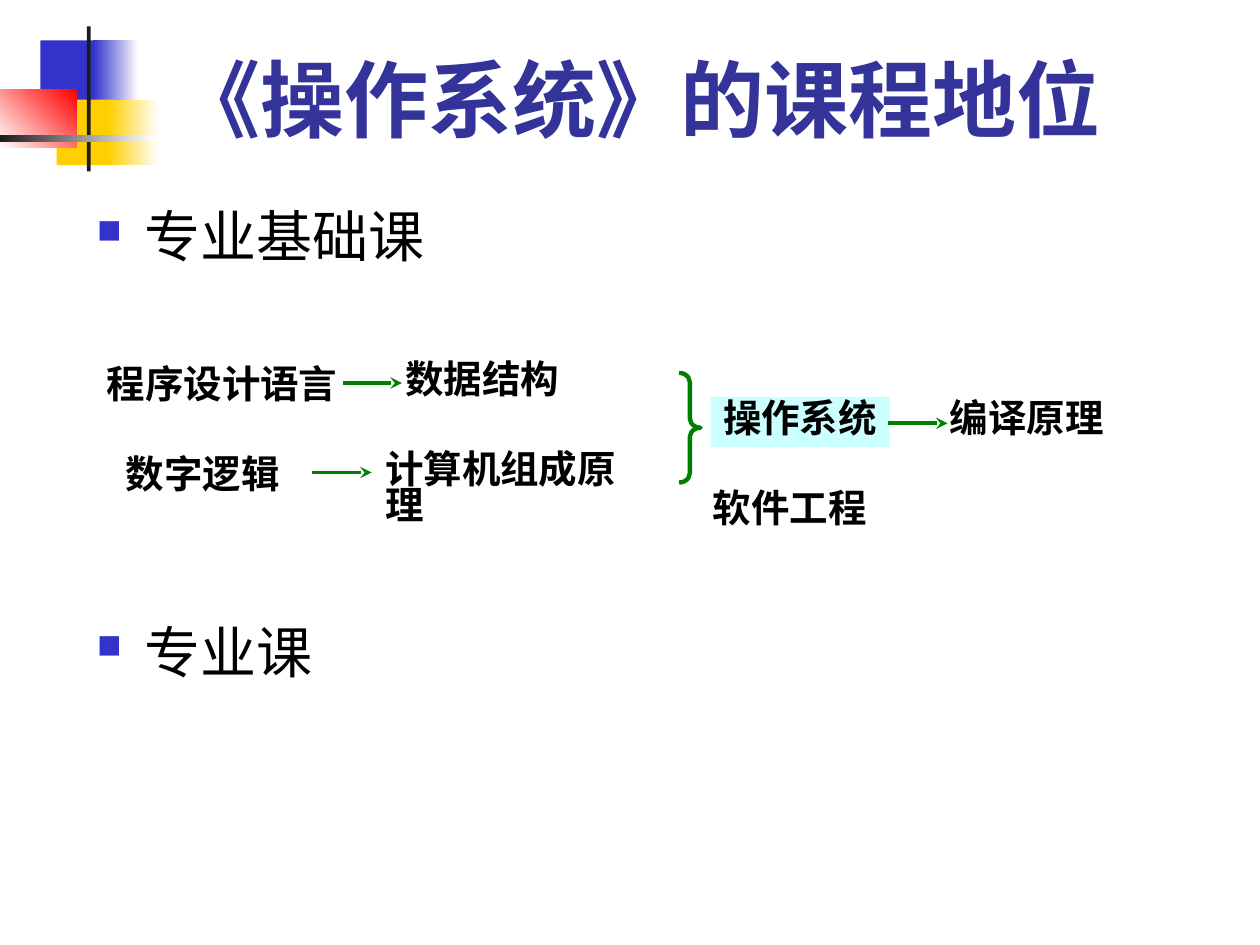
import pptx
import pptx.util
import pptx.dml.color
import pptx.enum.shapes
import pptx.enum.text
import pptx.enum.lang
import lxml.etree
import pptx.oxml.ns

Inches, Pt = pptx.util.Inches, pptx.util.Pt
RGBColor = pptx.dml.color.RGBColor
SHAPE = pptx.enum.shapes.MSO_SHAPE
ANCHOR = pptx.enum.text.MSO_ANCHOR
qn = pptx.oxml.ns.qn

BLUE = RGBColor(0x33, 0x33, 0xCC)
TITLE_BLUE = RGBColor(0x33, 0x33, 0x99)
YELLOW = RGBColor(0xFF, 0xCF, 0x01)
RED = RGBColor(0xFF, 0x00, 0x00)
DARK = RGBColor(0x1C, 0x1C, 0x1C)
WHITE = RGBColor(0xFF, 0xFF, 0xFF)
BLACK = RGBColor(0x00, 0x00, 0x00)
GREEN = RGBColor(0x00, 0x80, 0x00)
CYAN = RGBColor(0xCC, 0xFF, 0xFF)
FONT = "Lato"


def add_text(left, top, width, height, text, size, color, bold):
    """Add a text box holding one run; return the box and its paragraph."""
    box = slide.shapes.add_textbox(Inches(left), Inches(top), Inches(width), Inches(height))
    box.text_frame.word_wrap = True
    para = box.text_frame.paragraphs[0]
    span = para.add_run()
    span.text = text
    span.font.size = Pt(size)
    span.font.bold = bold
    span.font.name = FONT
    span.font.color.rgb = color
    span.font.language_id = pptx.enum.lang.MSO_LANGUAGE_ID.SIMPLIFIED_CHINESE
    east_asian = lxml.etree.SubElement(span.font._element, qn("a:ea"))
    east_asian.set("typeface", FONT)
    return box, para


deck = pptx.Presentation()
deck.slide_width, deck.slide_height = Inches(10), Inches(7.5)
slide = deck.slides.add_slide(deck.slide_layouts[6])

# Corner ornament: left, top, width, height, start colour, end colour, angle
ornament = [
    (0.32, 0.32, 0.48, 0.52, BLUE, None, 0),
    (0.74, 0.32, 0.36, 0.52, BLUE, WHITE, 0),
    (0.45, 0.79, 0.46, 0.52, YELLOW, None, 0),
    (0.86, 0.79, 0.40, 0.52, YELLOW, WHITE, 0),
    (0, 0.71, 0.61, 0.46, WHITE, RED, 45),
    (0.69, 0.21, 0.03, 1.15, DARK, None, 0),
    (0, 1.07, 1.22, 0.06, DARK, WHITE, 0),
]
for left, top, width, height, start, end, angle in ornament:
    block = slide.shapes.add_shape(
        SHAPE.RECTANGLE, Inches(left), Inches(top), Inches(width), Inches(height))
    block.shadow.inherit = False
    block.line.fill.background()
    if end is None:
        block.fill.solid()
        block.fill.fore_color.rgb = start
    else:
        block.fill.gradient()
        block.fill.gradient_angle = angle
        for stop, color in zip(block.fill.gradient_stops, (start, end)):
            stop.color.rgb = color

# Title
title, para = add_text(1.3, 0.21, 8.52, 1.02, "《操作系统》的课程地位", 48, TITLE_BLUE, True)
title.text_frame.vertical_anchor = ANCHOR.BOTTOM

# Bulleted headings
for top, text in [(1.55, "专业基础课"), (4.85, "专业课")]:
    box, para = add_text(0.67, top, 8.9, 0.79, text, 32, BLACK, False)
    para.space_before = Pt(8)
    props = para._p.get_or_add_pPr()
    props.set("marL", str(Inches(0.38)))
    props.set("indent", str(Inches(-0.38)))
    bullet_color = lxml.etree.SubElement(props, qn("a:buClr"))
    lxml.etree.SubElement(bullet_color, qn("a:srgbClr")).set("val", str(BLUE))
    lxml.etree.SubElement(props, qn("a:buSzPct")).set("val", "60000")
    lxml.etree.SubElement(props, qn("a:buChar")).set("char", "■")

# Courses: left, top, width, name, background
courses = [
    (0.75, 2.88, 2.23, "程序设计语言", None),
    (3.12, 2.84, 1.42, "数据结构", None),
    (0.90, 3.59, 1.60, "数字逻辑", None),
    (2.96, 3.55, 2.33, "计算机组成原理", None),
    (5.64, 3.15, 1.42, "操作系统", CYAN),
    (7.44, 3.15, 1.42, "编译原理", None),
    (5.56, 3.86, 1.42, "软件工程", None),
]
for left, top, width, name, background in courses:
    box, para = add_text(left, top, width, 0.4, name, 22, BLACK, True)
    box.text_frame.word_wrap = False
    box.text_frame.auto_size = pptx.enum.text.MSO_AUTO_SIZE.SHAPE_TO_FIT_TEXT
    para.line_spacing = 0.8
    para.space_before = Pt(5.5)
    if background is not None:
        box.fill.solid()
        box.fill.fore_color.rgb = background

# Arrows between courses
for left, y in [(2.72, 3.04), (2.48, 3.75), (7.05, 3.36)]:
    arrow = slide.shapes.add_connector(
        pptx.enum.shapes.MSO_CONNECTOR.STRAIGHT,
        Inches(left), Inches(y), Inches(left + 0.47), Inches(y))
    arrow.line.color.rgb = GREEN
    arrow.line.width = Pt(2.25)
    lxml.etree.SubElement(arrow.line._get_or_add_ln(), qn("a:tailEnd")).set("type", "stealth")
    lxml.etree.SubElement(arrow._element.spPr, qn("a:effectLst"))

# Brace joining the two course chains
brace = slide.shapes.add_shape(
    SHAPE.RIGHT_BRACE, Inches(5.39), Inches(2.96), Inches(0.17), Inches(0.87))
brace.shadow.inherit = False
brace.adjustments[0] = 0.43
brace.fill.background()
brace.line.color.rgb = GREEN
brace.line.width = Pt(2.5)

deck.save("out.pptx")
